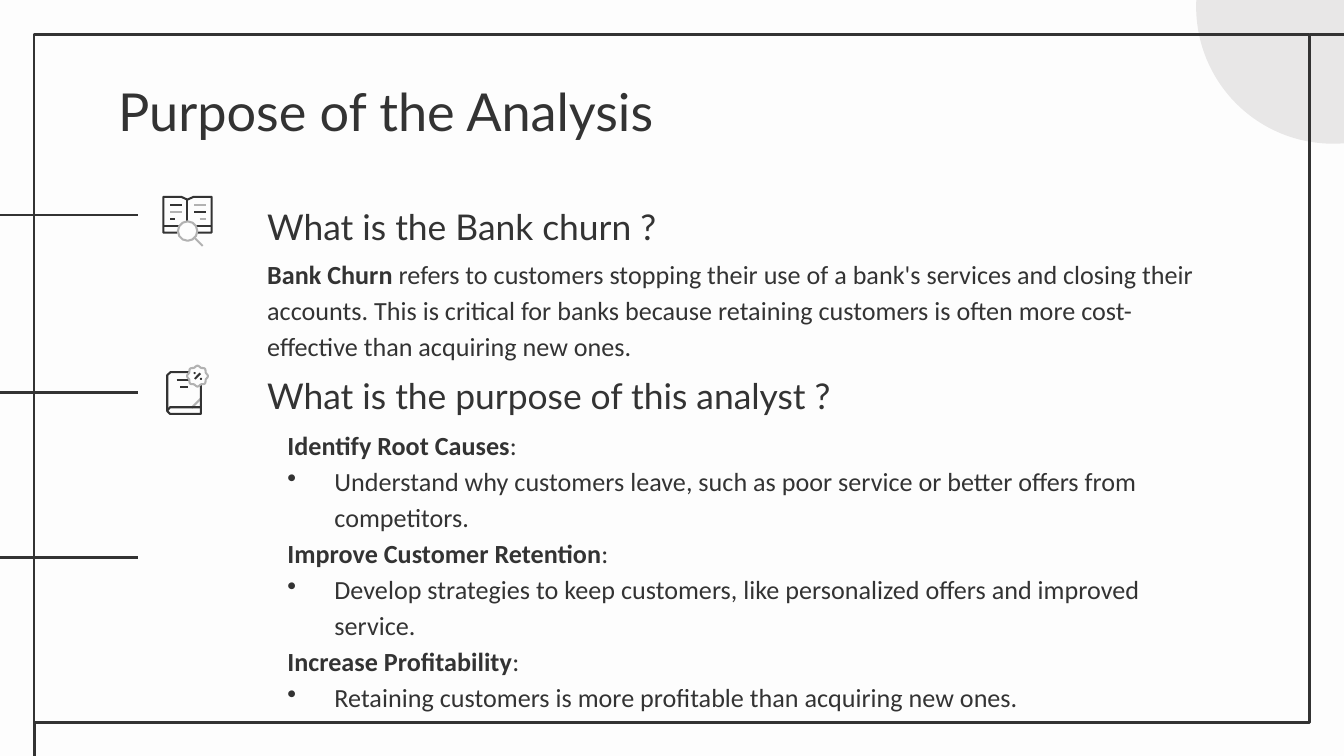
import math

from lxml import etree
from pptx import Presentation
from pptx.dml.color import RGBColor
from pptx.enum.shapes import MSO_CONNECTOR, MSO_SHAPE
from pptx.enum.text import MSO_ANCHOR
from pptx.oxml.ns import qn
from pptx.util import Pt

DARK = RGBColor(0x33, 0x33, 0x33)
LIGHT = RGBColor(0xB2, 0xB2, 0xB2)
CIRCLE = RGBColor(0xE8, 0xE7, 0xE7)
PAPER = RGBColor(0xFD, 0xFD, 0xFD)
TOP, BOTTOM = MSO_ANCHOR.TOP, MSO_ANCHOR.BOTTOM
OVAL, RECTANGLE = MSO_SHAPE.OVAL, MSO_SHAPE.RECTANGLE
STRAIGHT = MSO_CONNECTOR.STRAIGHT

ICON_STROKE = 1.1
FRAME_STROKE = 1.5
TEXT_LEFT, TEXT_WIDTH = 136.1, 520.6

CHURN = [("Bank Churn", " refers to customers stopping their use of a bank's services "
          "and closing their accounts. This is critical for banks because retaining "
          "customers is often more cost-effective than acquiring new ones.")]
PURPOSES = [
    ("Identify Root Causes", "Understand why customers leave, such as poor service "
     "or better offers from competitors."),
    ("Improve Customer Retention", "Develop strategies to keep customers, like "
     "personalized offers and improved service."),
    ("Increase Profitability", "Retaining customers is more profitable than "
     "acquiring new ones."),
]


def paint(shape, fill=None, line=None, stroke=ICON_STROKE):
    """Give a shape its fill and outline; None means no paint."""
    shape.shadow.inherit = False
    if fill is None:
        shape.fill.background()
    else:
        shape.fill.solid()
        shape.fill.fore_color.rgb = fill
    if line is None:
        shape.line.fill.background()
    else:
        shape.line.color.rgb = line
        shape.line.width = Pt(stroke)


def add_preset(page, kind, left, top, width, height, **paints):
    shape = page.shapes.add_shape(kind, Pt(left), Pt(top), Pt(width), Pt(height))
    paint(shape, **paints)


def add_disc(page, x, y, radius, **paints):
    add_preset(page, OVAL, x - radius, y - radius, 2 * radius, 2 * radius, **paints)


def add_line(page, x1, y1, x2, y2, colour=DARK, stroke=ICON_STROKE):
    line = page.shapes.add_connector(STRAIGHT, Pt(x1), Pt(y1), Pt(x2), Pt(y2))
    line.line.color.rgb = colour
    line.line.width = Pt(stroke)
    etree.SubElement(line._element.spPr, qn("a:effectLst"))


def add_outline(page, points, colour=DARK, close=False):
    (x, y), *rest = [(Pt(x), Pt(y)) for x, y in points]
    builder = page.shapes.build_freeform(x, y)
    builder.add_line_segments(rest, close=close)
    paint(builder.convert_to_shape(), line=colour)


def add_text_frame(page, left, top, width, height, anchor=TOP):
    box = page.shapes.add_textbox(Pt(left), Pt(top), Pt(width), Pt(height))
    frame = box.text_frame
    frame.word_wrap = True
    frame.vertical_anchor = anchor
    frame.margin_left = frame.margin_right = Pt(7.2)
    frame.margin_top = frame.margin_bottom = Pt(7.2)
    return frame


def set_font(para, name, size):
    para.font.name = name
    para.font.size = Pt(size)
    para.font.color.rgb = DARK


def add_heading(page, top, text):
    frame = add_text_frame(page, TEXT_LEFT, top, TEXT_WIDTH, 41.8, BOTTOM)
    para = frame.paragraphs[0]
    para.text = text
    para.line_spacing = 1.15
    set_font(para, "Lato", 19)


def add_bullet(para):
    properties = para._p.get_or_add_pPr()
    colour = etree.SubElement(properties, qn("a:buClr"))
    etree.SubElement(colour, qn("a:srgbClr"), val=str(DARK))
    etree.SubElement(properties, qn("a:buChar"), char="•")


def fill_body(frame, rows, hanging=False):
    """Each row is (bold lead, plain text); a row with no lead is a bullet."""
    for number, (lead, text) in enumerate(rows):
        para = frame.add_paragraph() if number else frame.paragraphs[0]
        if hanging:
            properties = para._p.get_or_add_pPr()
            properties.set("marL", str(Pt(36)))
            properties.set("indent", str(Pt(-25.2)))
        if lead:
            span = para.add_run()
            span.text = lead
            span.font.bold = True
        else:
            add_bullet(para)
        para.add_run().text = text
        para.line_spacing = 1.15
        set_font(para, "Calibri", 14)


def draw_background(page):
    page.background.fill.solid()
    page.background.fill.fore_color.rgb = PAPER
    add_disc(page, 714.2, 3.6, 73.4, fill=CIRCLE)
    for y in (115.2, 210.2, 298.8):
        add_line(page, 0, y, 74.2, y, stroke=FRAME_STROKE)
    add_preset(page, RECTANGLE, 18.2, 18.3, 683.4, 368.9,
               line=DARK, stroke=FRAME_STROKE)
    add_line(page, 701.6, 18.3, 720, 18.3, stroke=FRAME_STROKE)
    add_line(page, 18.5, 387.2, 18.5, 405, stroke=FRAME_STROKE)


def draw_open_book(page):
    # Cover, spine and page edges
    add_outline(page, [(95, 124.6), (87.5, 124.6), (87.5, 105.5), (97.2, 105.5),
                       (100.4, 107), (103.7, 105.5), (113.4, 105.5),
                       (113.4, 124.6), (105.8, 124.6)])
    add_line(page, 100.4, 107, 100.4, 118.8)
    add_line(page, 87.5, 121.3, 95.8, 121.3)
    add_line(page, 105.1, 121.3, 113.4, 121.3)
    # Lines of writing
    for row, (left_end, right_start) in enumerate([(97.6, 104), (97.6, 104), (94, 107)]):
        y = 109.7 + 3.85 * row
        left, right = (LIGHT, DARK) if row == 1 else (DARK, LIGHT)
        add_line(page, 91.1, y, left_end, y, left)
        add_line(page, right_start, y, 110.3, y, right)
    # Magnifying glass
    add_disc(page, 100.5, 123.8, 5.2, line=LIGHT)
    add_line(page, 104.4, 127.6, 108.6, 131.8, LIGHT)


def draw_badge_book(page):
    # Cover, folded corner and page edge
    add_line(page, 102.6, 218.5, 107.6, 213.5, LIGHT)
    add_outline(page, [(101.5, 199.4), (91.4, 199.4), (89.6, 201), (89.6, 220.3),
                       (91.1, 221.8), (107.6, 221.8), (107.6, 205.9)])
    add_outline(page, [(89.6, 220), (91.1, 218.2), (107.6, 218.2)])
    add_line(page, 94.6, 203.7, 101.9, 203.7)
    add_line(page, 96.7, 207.1, 100.8, 207.1)
    # Scalloped badge with eight lobes
    scallops = []
    for degrees in range(0, 360, 5):
        angle = math.radians(degrees)
        radius = 5.2 + 0.4 * math.cos(8 * angle)
        scallops.append((105.8 + radius * math.cos(angle),
                         201.5 + radius * math.sin(angle)))
    add_outline(page, scallops, LIGHT, close=True)
    # Percent sign
    add_line(page, 104.4, 203, 107.3, 200)
    add_disc(page, 104.3, 199.9, 0.6, fill=DARK)
    add_disc(page, 107.7, 203, 0.6, fill=DARK)


def main():
    deck = Presentation()
    deck.slide_width, deck.slide_height = Pt(720), Pt(405)
    page = deck.slides.add_slide(deck.slide_layouts[6])
    draw_background(page)

    # Title
    title = add_text_frame(page, 56.2, 35.3, 607, 45.4).paragraphs[0]
    title.text = "Purpose of the Analysis"
    set_font(title, "Lato", 28)

    # Two sections
    fill_body(add_text_frame(page, TEXT_LEFT, 128.9, TEXT_WIDTH, 41.8), CHURN)
    purpose_rows = []
    for name, detail in PURPOSES:
        purpose_rows += [(name, ":"), (None, detail)]
    fill_body(add_text_frame(page, TEXT_LEFT, 220.3, TEXT_WIDTH, 168.5),
              purpose_rows, hanging=True)
    add_heading(page, 97.9, "What is the Bank churn ?")
    add_heading(page, 188.6, "What is the purpose of this analyst ?")

    # Icons
    draw_badge_book(page)
    draw_open_book(page)
    deck.save("out.pptx")


if __name__ == "__main__":
    main()
